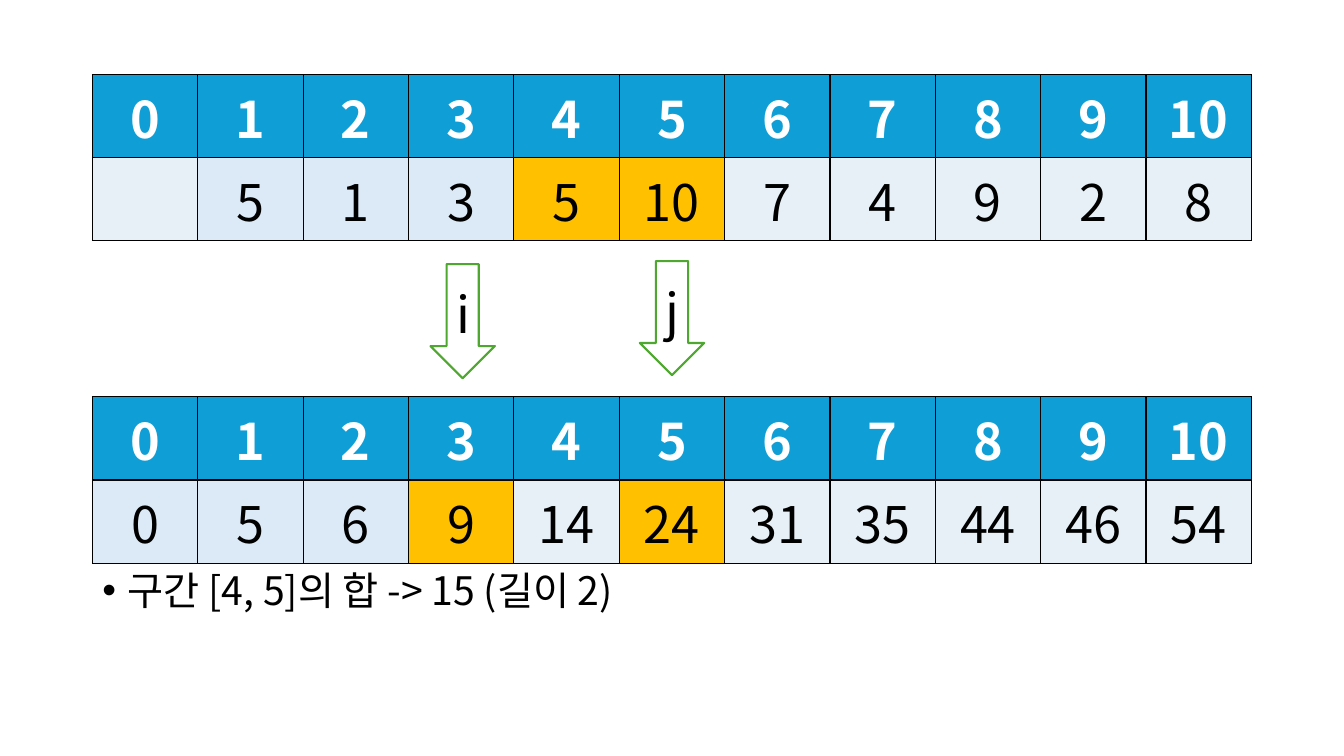
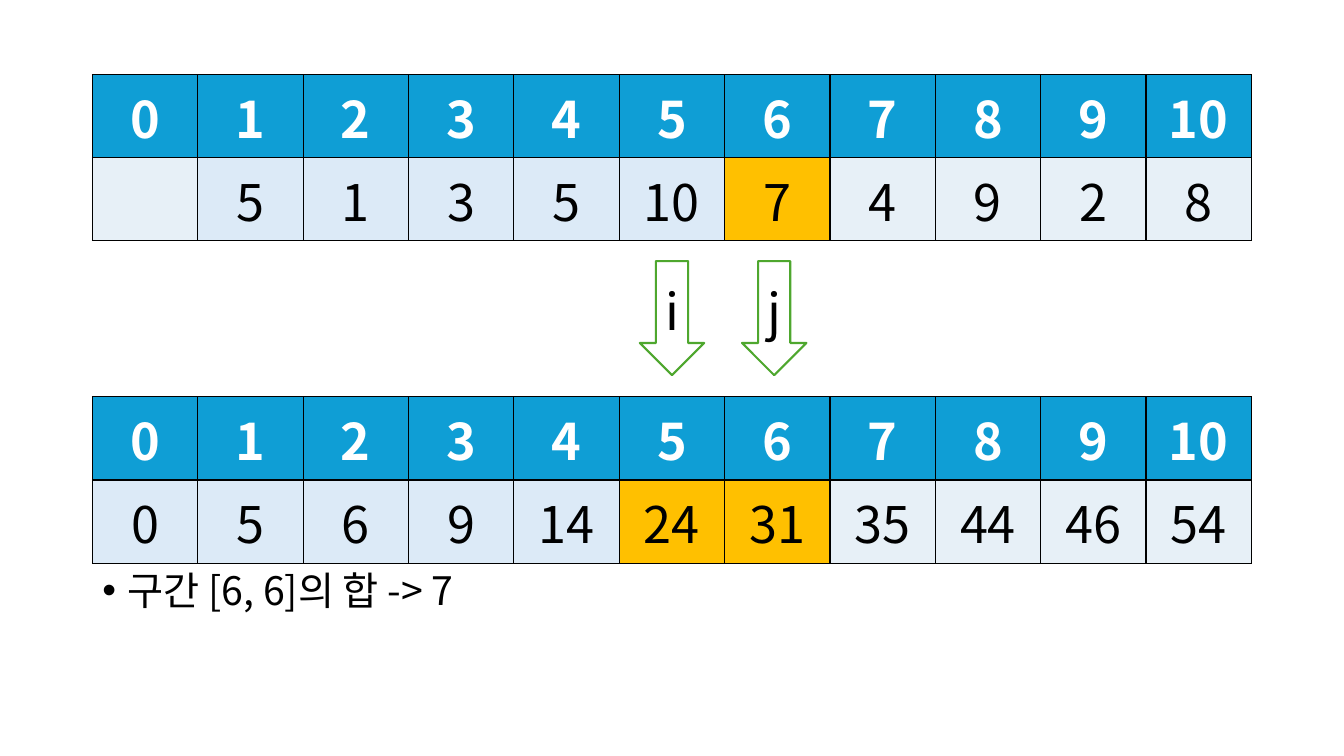
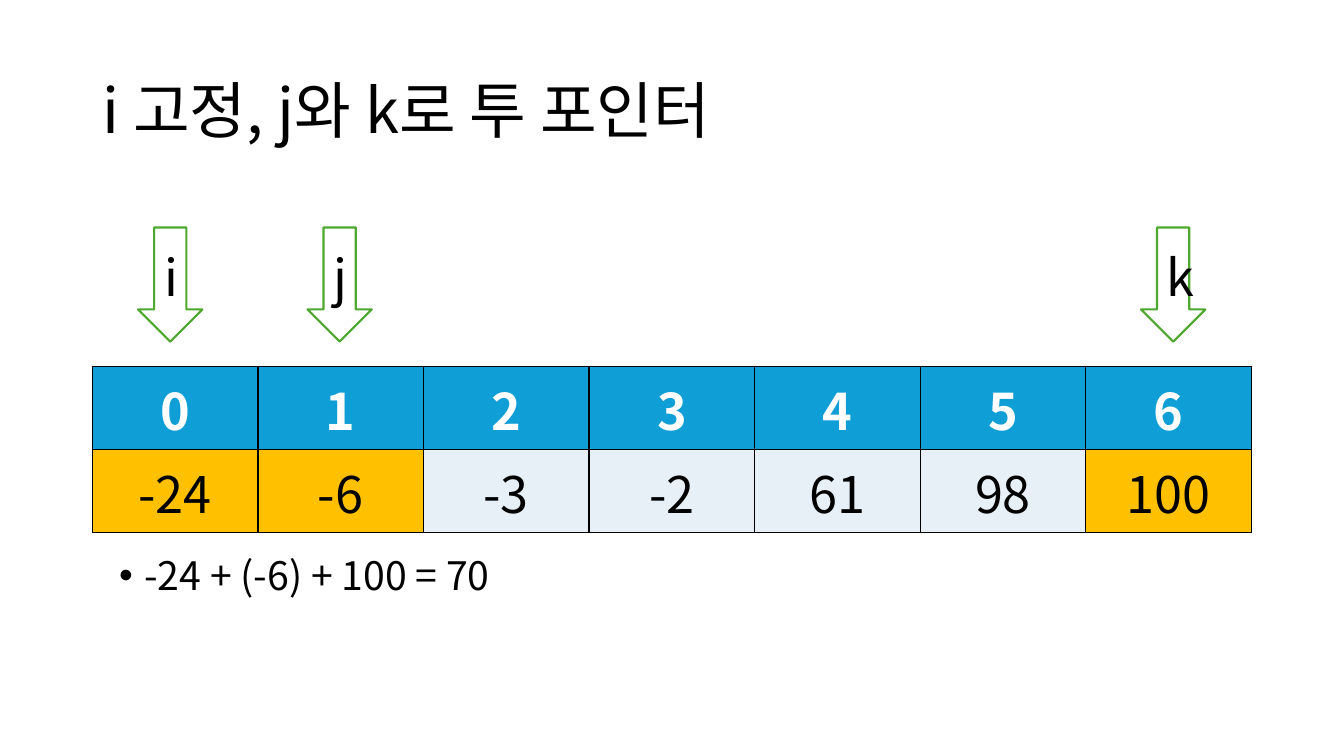
from dataclasses import dataclass

from lxml import etree
from pptx import Presentation
from pptx.dml.color import RGBColor
from pptx.enum.shapes import MSO_SHAPE
from pptx.enum.text import MSO_ANCHOR, MSO_AUTO_SIZE, PP_ALIGN
from pptx.oxml.ns import qn
from pptx.util import Pt

DOWN_ARROW = MSO_SHAPE.DOWN_ARROW
MIDDLE = MSO_ANCHOR.MIDDLE
TOP = MSO_ANCHOR.TOP
NO_AUTOFIT = MSO_AUTO_SIZE.NONE
CENTER = PP_ALIGN.CENTER
LEFT = PP_ALIGN.LEFT


@dataclass(frozen=True)
class Theme:
    font: str = "Noto Sans CJK KR"
    black: RGBColor = RGBColor(0x00, 0x00, 0x00)
    white: RGBColor = RGBColor(0xFF, 0xFF, 0xFF)
    header: RGBColor = RGBColor(0x0F, 0x9E, 0xD5)
    visited: RGBColor = RGBColor(0xDC, 0xEA, 0xF7)
    plain: RGBColor = RGBColor(0xE7, 0xF0, 0xF7)
    highlight: RGBColor = RGBColor(0xFF, 0xC0, 0x00)
    arrow_line: RGBColor = RGBColor(0x4E, 0xA7, 0x2E)
    title_size: int = 44
    note_size: int = 28
    cell_size: int = 36


THEME = Theme()
MARGIN, CONTENT_WIDTH, ROW_HEIGHT = 66, 828, 59.4
ARROW_WIDTH, ARROW_HEIGHT = 46, 81.5

NUMBERS = ["", 5, 1, 3, 5, 10, 7, 4, 9, 2, 8]
PREFIX_SUMS = [0, 5, 6, 9, 14, 24, 31, 35, 44, 46, 54]
SORTED_NUMBERS = [-24, -6, -3, -2, 61, 98, 100]

SLIDES = [
    {
        "title": None,
        "note": ("구간 [4, 5]의 합 -> 15 (길이 2)", MARGIN, 404.6, 82),
        "tables": [
            (283.5, PREFIX_SUMS, range(3), (3, 5)),
            (53.3, NUMBERS, range(1, 4), (4, 5)),
        ],
        "arrows": [("i", 307.5, 188.7), ("j", 457, 186.5)],
    },
    {
        "title": None,
        "note": ("구간 [6, 6]의 합 -> 7", MARGIN, 404.6, 82),
        "tables": [
            (283.5, PREFIX_SUMS, range(5), (5, 6)),
            (53.3, NUMBERS, range(1, 6), (6,)),
        ],
        "arrows": [("i", 457, 186.5), ("j", 530, 186.5)],
    },
    {
        "title": "i 고정, j와 k로 투 포인터",
        "note": ("-24 + (-6) + 100 = 70", 77.8, 394, 104),
        "tables": [(261.8, SORTED_NUMBERS, (), (0, 1, 6))],
        "arrows": [("i", 98.6, 162.5), ("j", 219.6, 162.5), ("k", 815, 162.5)],
    },
]


def write_text(text_frame, text, size, color=THEME.black, bold=False, **formats):
    paragraph = text_frame.paragraphs[0]
    for name, value in formats.items():
        setattr(paragraph, name, value)
    run = paragraph.add_run()
    run.text = text
    font_formats = {"name": THEME.font, "size": Pt(size), "bold": bold}
    for name, value in font_formats.items():
        setattr(run.font, name, value)
    run.font.color.rgb = color
    east_asian = etree.Element(qn("a:ea"), typeface=THEME.font)
    run.font._element.find(qn("a:latin")).addnext(east_asian)
    return paragraph


def style_cell(cell, text, fill, color, bold):
    cell.fill.solid()
    cell.fill.fore_color.rgb = fill
    cell.vertical_anchor = MIDDLE
    properties = cell._tc.get_or_add_tcPr()
    for position, side in enumerate(("lnL", "lnR", "lnT", "lnB")):
        border = etree.Element(qn(f"a:{side}"), w=str(Pt(1)))
        solid_fill = etree.SubElement(border, qn("a:solidFill"))
        etree.SubElement(solid_fill, qn("a:srgbClr"), val=str(THEME.black))
        properties.insert(position, border)
    if text:
        write_text(cell.text_frame, text, THEME.cell_size, color, bold, alignment=CENTER)


presentation = Presentation()
presentation.slide_width, presentation.slide_height = Pt(960), Pt(540)
layout = presentation.slide_layouts[1]

for content in SLIDES:
    slide = presentation.slides.add_slide(layout)
    title, body = slide.placeholders

    note, left, top, height = content["note"]
    boxes = [(body, left, top, height, TOP)]
    if content["title"]:
        boxes.append((title, MARGIN, 28.8, 104.4, MIDDLE))
        write_text(title.text_frame, content["title"], THEME.title_size,
                   alignment=LEFT, line_spacing=0.9)
    else:
        title.element.getparent().remove(title.element)
    for shape, left, top, height, anchor in boxes:
        shape.left, shape.top = Pt(left), Pt(top)
        shape.width, shape.height = Pt(CONTENT_WIDTH), Pt(height)
        shape.text_frame.auto_size = NO_AUTOFIT
        shape.text_frame.vertical_anchor = anchor

    paragraph = write_text(body.text_frame, note, THEME.note_size,
                           alignment=LEFT, line_spacing=0.9, space_before=Pt(0))
    properties = paragraph._p.get_or_add_pPr()
    properties.set("marL", str(Pt(18)))
    properties.set("indent", str(Pt(-18)))
    etree.SubElement(properties, qn("a:buFont"), typeface="Arial")
    etree.SubElement(properties, qn("a:buChar"), char="•")

    for top, values, visited, highlighted in content["tables"]:
        table = slide.shapes.add_table(
            2, len(values), Pt(MARGIN), Pt(top), Pt(CONTENT_WIDTH), Pt(2 * ROW_HEIGHT)
        ).table
        table.first_row = table.horz_banding = False
        for row in table.rows:
            row.height = Pt(ROW_HEIGHT)
        for index, value in enumerate(values):
            table.columns[index].width = Pt(CONTENT_WIDTH / len(values))
            fill = THEME.visited if index in visited else THEME.plain
            if index in highlighted:
                fill = THEME.highlight
            style_cell(table.cell(0, index), str(index), THEME.header, THEME.white, True)
            style_cell(table.cell(1, index), str(value), fill, THEME.black, False)

    for label, left, top in content["arrows"]:
        arrow = slide.shapes.add_shape(
            DOWN_ARROW, Pt(left), Pt(top), Pt(ARROW_WIDTH), Pt(ARROW_HEIGHT)
        )
        arrow.shadow.inherit = False
        arrow.fill.solid()
        arrow.fill.fore_color.rgb = THEME.white
        arrow.line.color.rgb = THEME.arrow_line
        arrow.line.width = Pt(1.5)
        arrow.text_frame.vertical_anchor = MIDDLE
        write_text(arrow.text_frame, label, THEME.cell_size, alignment=CENTER)

presentation.save("out.pptx")
